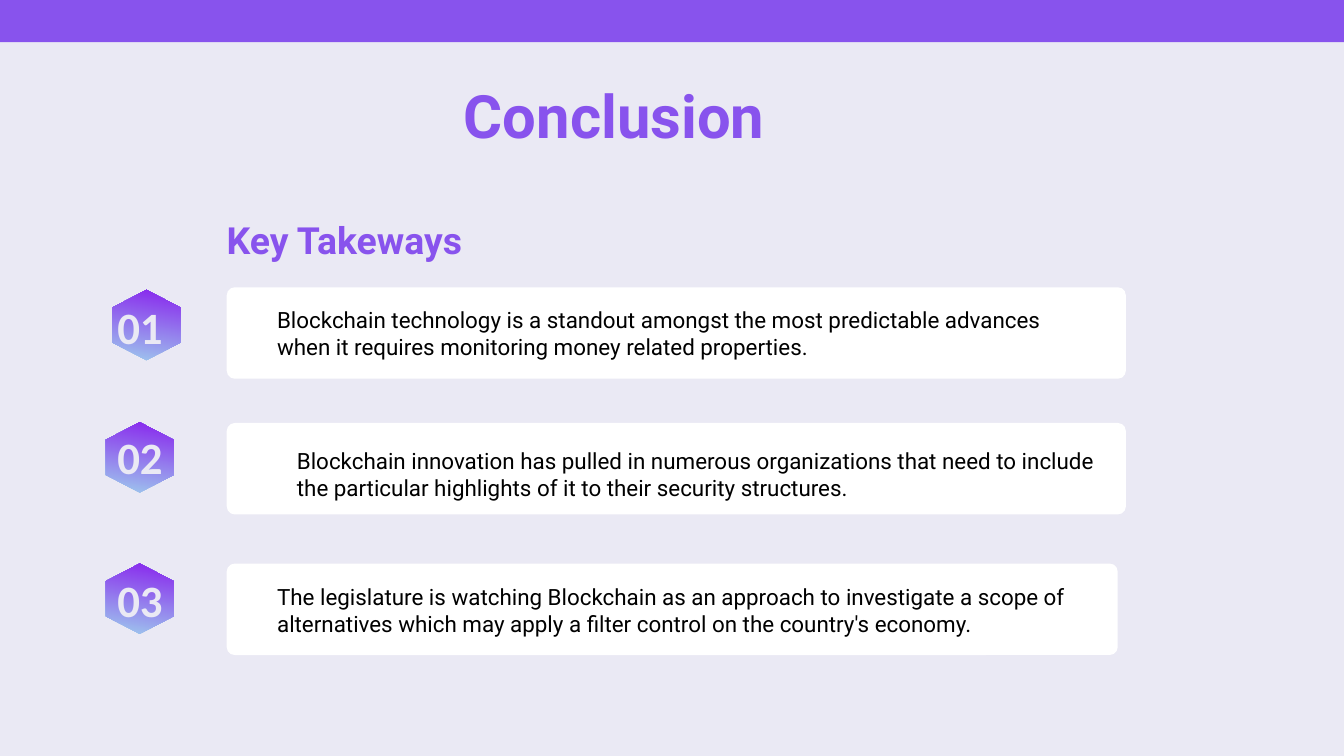
from pptx import Presentation
from pptx import util as u
from pptx.dml.color import RGBColor
from pptx.enum import shapes, text

WIDE = u.Inches(10)
HIGH = u.Emu(WIDE * 9 // 16)
COL, ROW = WIDE / 100, HIGH / 100
PALE = RGBColor(0xEA, 0xE9, 0xF4)
PURPLE = RGBColor(0x88, 0x53, 0xED)
VIOLET = RGBColor(0x88, 0x23, 0xED)
SKY = RGBColor(0x9E, 0xCA, 0xED)
WHITE = RGBColor(0xFF, 0xFF, 0xFF)
BLACK = RGBColor(0, 0, 0)
HEX = [(1, 0.25), (0.5, 0), (0, 0.25), (0, 0.75), (0.5, 1), (1, 0.75)]

ITEMS = [
    ("01", "Blockchain technology is a standout amongst the most predictable advances "
           "when it requires monitoring money related properties.",
     (16.87, 38, 66.9, 12.1), (-8.5, 0.35), 2.2, (3.75, 2.5, 57.7)),
    ("02", "Blockchain innovation has pulled in numerous organizations that need to include "
           "the particular highlights\u00a0of it to their security structures.",
     (16.87, 55.95, 66.9, 12.1), (-9, -0.1), 1.5, (5.22, 3.25, 61.1)),
    ("03", "The legislature is watching Blockchain as an approach to investigate a scope of "
           "alternatives which may apply a filter control on the country's economy.",
     (16.87, 74.55, 66.3, 12.1), (-9, 0), 1.75, (3.75, 2.65, 63.1)),
]


def grid(box):
    x, y, w, h = box
    return [u.Emu(round(n)) for n in (x * COL, y * ROW, w * COL, h * ROW)]


def plain(shape, color):
    shape.shadow.inherit = False
    shape.fill.solid()
    shape.fill.fore_color.rgb = color
    shape.line.fill.background()


def write(shape, words, size, color, face="Roboto", bold=False,
          align=text.PP_ALIGN.LEFT, anchor=text.MSO_ANCHOR.TOP):
    frame = shape.text_frame
    frame.text = words
    frame.word_wrap = True
    frame.auto_size = text.MSO_AUTO_SIZE.NONE
    frame.vertical_anchor = anchor
    frame.margin_left = frame.margin_top = frame.margin_right = frame.margin_bottom = 0
    para = frame.paragraphs[0]
    para.alignment = align
    font = para.runs[0].font
    font.name, font.size, font.bold = face, u.Pt(size), bold
    font.color.rgb = color


def label(slide, box, words, size, color, **style):
    write(slide.shapes.add_textbox(*grid(box)), words, size, color, **style)


def header(slide, box):
    x, y, w, h = box
    bar = slide.shapes.add_shape(shapes.MSO_SHAPE.RECTANGLE, *grid((x, y, w, h * 0.28)))
    plain(bar, PURPLE)
    title = slide.shapes.title
    title.left, title.top, title.width, title.height = grid(
        (x + w * 0.345, y + h * 0.27, w * 0.362, h * 0.73))
    write(title, "Conclusion", 32, PURPLE, bold=True, anchor=text.MSO_ANCHOR.BOTTOM)


def badge(slide, box):
    x, y, w, h = grid(box)
    points = [(round(x + w * a), round(y + h * b)) for a, b in HEX]
    form = slide.shapes.build_freeform(*points[0])
    form.add_line_segments(points[1:], close=True)
    shape = form.convert_to_shape()
    plain(shape, VIOLET)
    shape.fill.gradient()
    shape.fill.gradient_angle = 80
    for stop, color, place in zip(shape.fill.gradient_stops, (SKY, VIOLET), (0, 1)):
        stop.color.rgb = color
        stop.position = place


def item(slide, box, mark, words, hexa, drop, body):
    x, y, w, h = box
    card = slide.shapes.add_shape(shapes.MSO_SHAPE.ROUNDED_RECTANGLE, *grid(box))
    card.adjustments[0] = 0.088
    plain(card, WHITE)
    badge(slide, (x + hexa[0], y + hexa[1], 5.05, 9.3))
    label(slide, (x - 8.65, y + drop, 4.4, 6), mark, 24, PALE, face="Calibri",
          bold=True, align=text.PP_ALIGN.CENTER, anchor=text.MSO_ANCHOR.MIDDLE)
    label(slide, (x + body[0], y + body[1], body[2], 6.8), words, 12, BLACK)


def main():
    deck = Presentation()
    deck.slide_width, deck.slide_height = WIDE, HIGH
    slide = deck.slides.add_slide(deck.slide_layouts[5])
    slide.background.fill.solid()
    slide.background.fill.fore_color.rgb = PALE
    header(slide, (0, 0, 100, 19.95))
    label(slide, (16.87, 24.55, 24.7, 10.1), "Key Takeways", 20, PURPLE,
          bold=True, anchor=text.MSO_ANCHOR.BOTTOM)
    for mark, words, box, hexa, drop, body in ITEMS:
        item(slide, box, mark, words, hexa, drop, body)
    deck.save("out.pptx")


if __name__ == "__main__":
    main()
